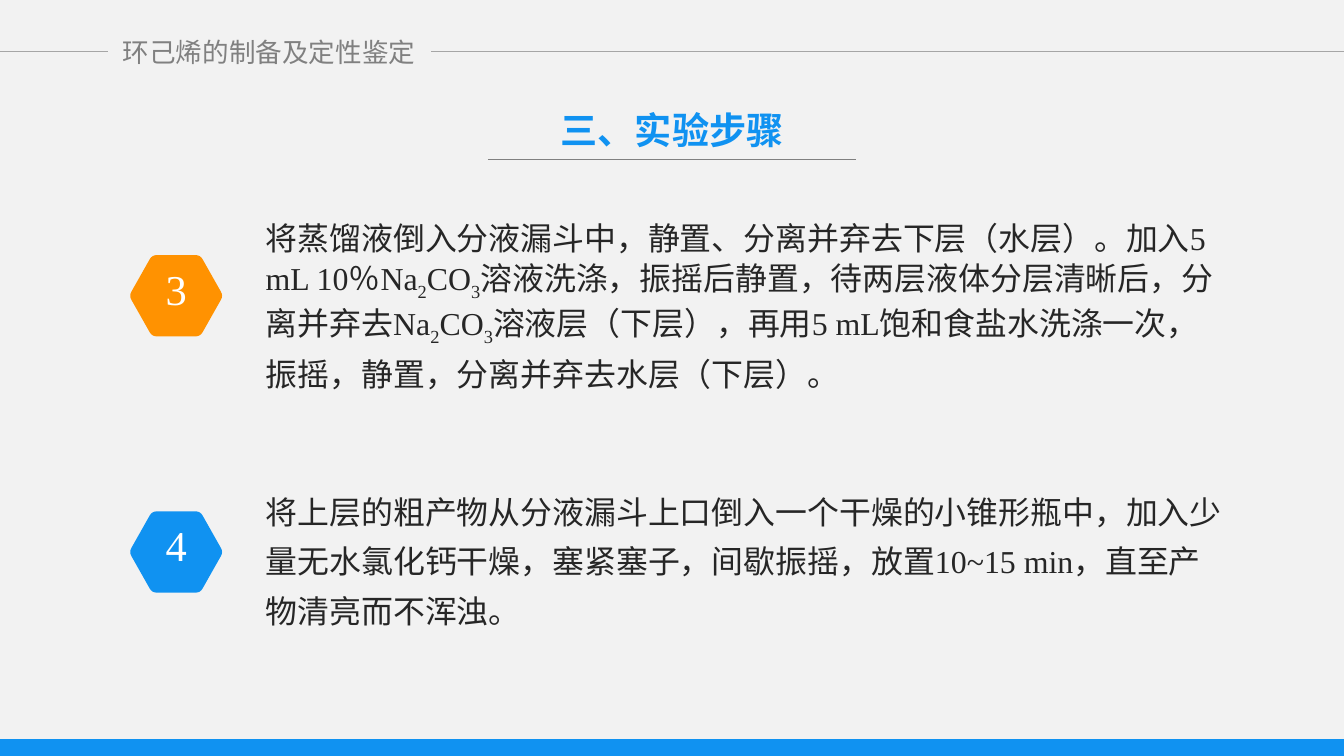
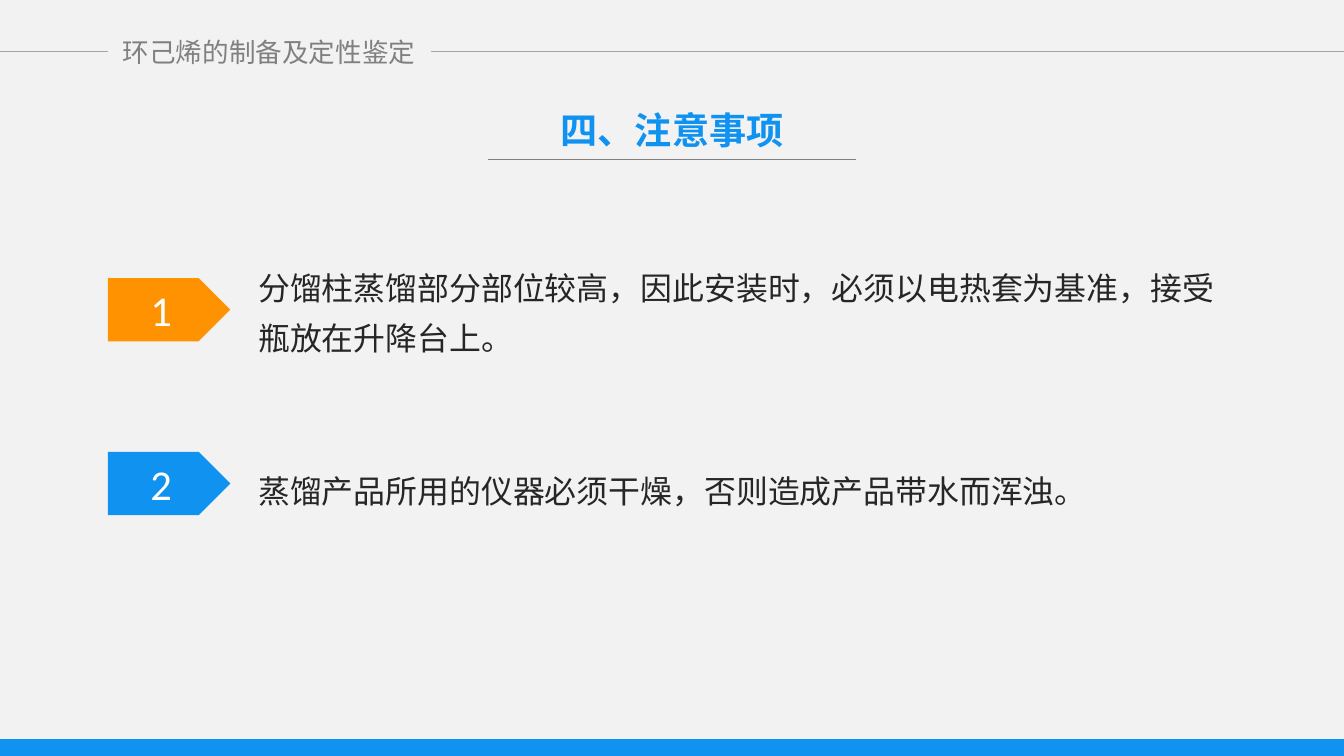
from math import copysign
from lxml.etree import SubElement
from pptx import Presentation
from pptx.dml.color import RGBColor
from pptx.enum.shapes import MSO_CONNECTOR, MSO_SHAPE
from pptx.enum.text import MSO_ANCHOR, MSO_AUTO_SIZE, PP_ALIGN
from pptx.oxml.ns import qn
from pptx.util import Cm, Pt

BLUE, ORANGE, INK, WHITE = "1092F1", "FF9201", "262626", "FFFFFF"
PAPER, GREY, RULE = "F2F2F2", "808080", "A6A6A6"
WIDTH, HEIGHT = 35.71, 20.09
SERIF = "Times New Roman"


def paint(target, colour):
    """Give a fill or a font one solid colour."""
    if hasattr(target, "solid"):
        target.solid()
        target.fore_color.rgb = RGBColor.from_string(colour)
    else:
        target.color.rgb = RGBColor.from_string(colour)


def write(shape, text, size, font, colour, align=PP_ALIGN.CENTER, bold=False,
          anchor=MSO_ANCHOR.MIDDLE, spacing=None, bottom=0):
    """Fill a shape with one paragraph; text between bars is subscript."""
    frame = shape.text_frame
    frame_format = {
        "word_wrap": True, "auto_size": MSO_AUTO_SIZE.NONE, "vertical_anchor": anchor,
        "margin_left": 0, "margin_right": 0, "margin_top": 0, "margin_bottom": Cm(bottom),
    }
    for key, value in frame_format.items():
        setattr(frame, key, value)
    paragraph = frame.paragraphs[0]
    properties = paragraph._p.get_or_add_pPr()
    properties.set("marL", "0")
    properties.set("indent", "0")
    SubElement(properties, qn("a:buNone"))
    paragraph_format = {"alignment": align, "line_spacing": spacing, "space_before": Pt(0)}
    for key, value in paragraph_format.items():
        setattr(paragraph, key, value)
    for index, piece in enumerate(text.split("|")):
        run = paragraph.add_run()
        run.text = piece
        for key, value in {"size": Pt(size), "name": font, "bold": bold}.items():
            setattr(run.font, key, value)
        paint(run.font, colour)
        if index % 2:
            run._r.get_or_add_rPr().set("baseline", "-25000")


prs = Presentation()
prs.slide_width, prs.slide_height = Cm(WIDTH), Cm(HEIGHT)
layout = prs.slide_layouts.get_by_name("Two Content")
paint(prs.slide_master.background.fill, PAPER)
heading_place = layout.placeholders[0]
heading_place.left, heading_place.top = Cm(14.06), Cm(2.84)
heading_place.width, heading_place.height = Cm(7.59), Cm(1.19)

steps_slide = prs.slides.add_slide(layout)
notes_slide = prs.slides.add_slide(layout)

# Shared band, running header and rules, moved onto the layout
band = steps_slide.shapes.add_shape(
    MSO_SHAPE.RECTANGLE, 0, Cm(19.64), Cm(WIDTH), Cm(HEIGHT - 19.64))
band.shadow.inherit = False
paint(band.fill, BLUE)
band.line.fill.background()
header = steps_slide.shapes.add_textbox(Cm(3.25), Cm(0.96), Cm(7.8), Cm(0.86))
write(header, "环己烯的制备及定性鉴定", 20, "Arial", GREY)
shared = [band, header]
for start, end, y, colour in [(0, 2.87, 1.37, RULE), (11.46, WIDTH, 1.37, RULE),
                              (12.96, 22.75, 4.23, GREY)]:
    rule = steps_slide.shapes.add_connector(
        MSO_CONNECTOR.STRAIGHT, Cm(start), Cm(y), Cm(end), Cm(y))
    paint(rule.line.fill, colour)
    rule.line.width = Pt(1)
    SubElement(rule._element.spPr, qn("a:effectLst"))
    shared.append(rule)
for number, part in enumerate(shared, 100):
    part._element.xpath(".//p:cNvPr")[0].set("id", str(number))
    layout.shapes._spTree.append(part._element)

# Headings and paragraphs: left, top, width, height, line spacing, text
contents = [
    (steps_slide, "三、实验步骤", [
        (7.06, 5.64, 25.6, 4.75, Pt(34),
         "将蒸馏液倒入分液漏斗中，静置、分离并弃去下层（水层）。加入5 mL 10％Na|2|CO|3|"
         "溶液洗涤，振摇后静置，待两层液体分层清晰后，分离并弃去Na|2|CO|3|"
         "溶液层（下层），再用5 mL饱和食盐水洗涤一次，振摇，静置，分离并弃去水层（下层）。"),
        (7.06, 12.78, 25.6, 3.86, 1.3,
         "将上层的粗产物从分液漏斗上口倒入一个干燥的小锥形瓶中，加入少量无水氯化钙干燥，"
         "塞紧塞子，间歇振摇，放置10~15 min，直至产物清亮而不浑浊。"),
    ]),
    (notes_slide, "四、注意事项", [
        (6.86, 6.83, 26, 2.54, 1.3,
         "分馏柱蒸馏部分部位较高，因此安装时，必须以电热套为基准，接受瓶放在升降台上。"),
        (6.86, 12.24, 26, 1.19, 1.3,
         "蒸馏产品所用的仪器必须干燥，否则造成产品带水而浑浊。"),
    ]),
]
for slide, heading, paragraphs in contents:
    title, *bodies = slide.placeholders
    write(title, heading, 28, SERIF, BLUE, bold=True, anchor=MSO_ANCHOR.TOP)
    for body, (left, top, width, height, spacing, text) in zip(bodies, paragraphs):
        body.left, body.top, body.width, body.height = map(Cm, (left, top, width, height))
        write(body, text, 24, SERIF, INK, align=PP_ALIGN.LEFT,
              anchor=MSO_ANCHOR.TOP, spacing=spacing)

# Hexagon outline around its centre, each corner rounded over a tenth of the edge
corners = [(0.64, -1.08), (1.25, 0), (0.64, 1.08), (-0.64, 1.08), (-1.25, 0), (-0.64, -1.08)]
outline = []
for index, corner in enumerate(corners):
    before, after = corners[index - 1], corners[(index + 1) % 6]
    for t in (0, 0.25, 0.5, 0.75, 1):
        outline.append([c + 0.1 * ((1 - t) ** 2 * (b - c) + t ** 2 * (a - c))
                        for b, c, a in zip(before, corner, after)])

badges = []
for label, centre_y, colour in [("3", 7.86, ORANGE), ("4", 14.67, BLUE)]:
    points = [(Cm(4.68 + x), Cm(centre_y + y)) for x, y in outline]
    builder = steps_slide.shapes.build_freeform(*points[0])
    builder.add_line_segments(points[1:], close=True)
    badges.append((builder.convert_to_shape(), label, SERIF, colour, 0.4))
for label, top, colour in [("1", 7.39, ORANGE), ("2", 12.01, BLUE)]:
    arrow = notes_slide.shapes.add_shape(
        MSO_SHAPE.PENTAGON, Cm(2.87), Cm(top), Cm(3.25), Cm(1.68))
    badges.append((arrow, label, "Calibri", colour, 0))
for badge, label, font, colour, bottom in badges:
    badge.shadow.inherit = False
    paint(badge.fill, colour)
    badge.line.fill.background()
    write(badge, label, 32, font, WHITE, bottom=bottom)

prs.save("out.pptx")
